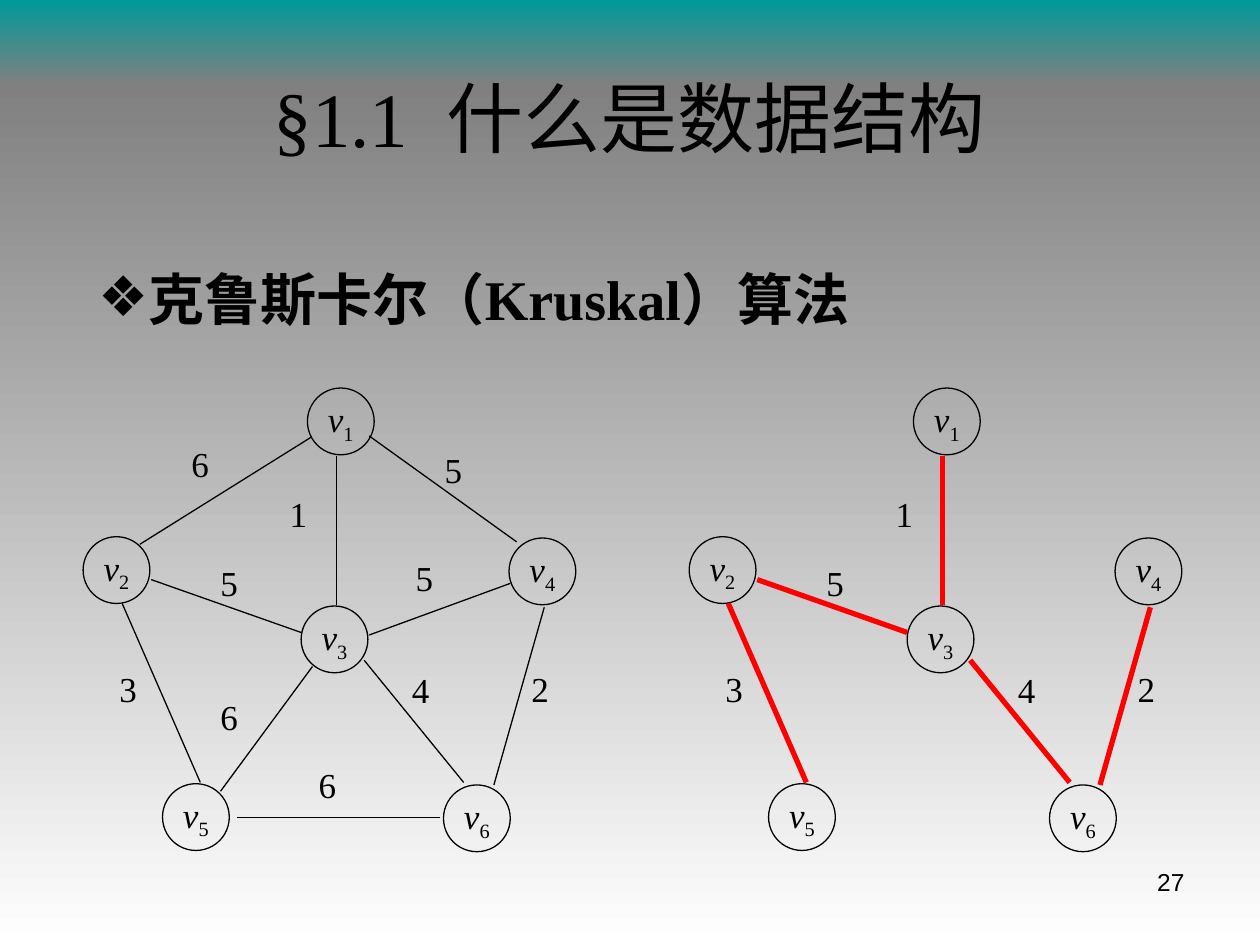
from lxml import etree
from pptx import Presentation
from pptx import util as u
from pptx.dml.color import RGBColor
from pptx.enum import shapes, text
from pptx.oxml import ns

BLACK = RGBColor(0x00, 0x00, 0x00)
RED = RGBColor(0xFF, 0x00, 0x00)
TEAL = RGBColor(0x00, 0x99, 0x99)
GRAY = RGBColor(0x80, 0x80, 0x80)
WHITE = RGBColor(0xFF, 0xFF, 0xFF)

SERIF = "Times New Roman"
DIAMETER = 0.53
TREE_OFFSET = 4.81

VERTICES = {
    "1": (2.44, 3.08), "3": (2.39, 4.81), "2": (0.66, 4.26),
    "4": (4.04, 4.27), "5": (1.29, 6.22), "6": (3.52, 6.23),
}
TREE_EDGES = [
    ((4.32, 4.82), (3.92, 6.23), "2", (4.12, 5.25)),
    ((0.97, 4.79), (1.59, 6.21), "3", (0.85, 5.25)),
    ((2.67, 3.62), (2.67, 4.8), "1", (2.2, 3.86)),
    ((1.2, 4.6), (2.39, 5.02), "5", (1.65, 4.41)),
    ((2.89, 5.24), (3.68, 6.21), "4", (3.17, 5.26)),
]
OTHER_EDGES = [
    ((2.93, 3.46), (4.1, 4.3), "5", (3.43, 3.51)),
    ((2.47, 3.47), (1.11, 4.32), "6", (1.42, 3.46)),
    ((3.49, 6.49), (1.88, 6.49), "6", (2.43, 6.01)),
    ((2.48, 5.29), (1.75, 6.28), "6", (1.65, 5.47)),
    ((2.93, 5.04), (4.05, 4.63), "5", (3.2, 4.37)),
]


def write(frame, content, size=20, font=SERIF, bold=False, italic=False,
          subscript="", align=text.PP_ALIGN.LEFT,
          anchor=text.MSO_ANCHOR.TOP, wrap=True):
    frame.word_wrap = wrap
    frame.auto_size = text.MSO_AUTO_SIZE.NONE
    frame.vertical_anchor = anchor
    paragraph = frame.paragraphs[0]
    paragraph.alignment = align
    for part in filter(None, (content, subscript)):
        run = paragraph.add_run()
        run.text = part
        run.font.size = u.Pt(size)
        run.font.name = font
        run.font.bold = bold
        run.font.italic = italic
        run.font.color.rgb = BLACK
    if subscript:
        run.font.italic = False
        run.font._element.set("baseline", "-25000")
    return paragraph


def place(shape, left, top, width, height):
    shape.left, shape.top = u.Inches(left), u.Inches(top)
    shape.width, shape.height = u.Inches(width), u.Inches(height)


def add_backdrop(slide, top, height, upper, lower):
    band = slide.shapes.add_shape(
        shapes.MSO_SHAPE.RECTANGLE, 0, u.Inches(top),
        u.Inches(10), u.Inches(height))
    band.shadow.inherit = False
    band.line.fill.background()
    band.fill.gradient()
    band.fill.gradient_angle = 270
    for stop, color, position in zip(band.fill.gradient_stops,
                                     (upper, lower), (0, 1)):
        stop.color.rgb = color
        stop.position = position
    slide.shapes._spTree.insert(2, band._element)


def add_label(slide, content, left, top, width, height, **style):
    label = slide.shapes.add_textbox(*map(u.Inches, (left, top, width, height)))
    write(label.text_frame, content, **style)


def add_vertex(slide, number, left, top):
    vertex = slide.shapes.add_shape(
        shapes.MSO_SHAPE.OVAL,
        *map(u.Inches, (left, top, DIAMETER, DIAMETER)))
    vertex.shadow.inherit = False
    vertex.fill.background()
    vertex.line.color.rgb = BLACK
    vertex.line.width = u.Pt(0.75)
    write(vertex.text_frame, "v", italic=True, subscript=number,
          align=text.PP_ALIGN.CENTER, anchor=text.MSO_ANCHOR.MIDDLE, wrap=False)


def add_edge(slide, start, end, color, width):
    edge = slide.shapes.add_connector(
        shapes.MSO_CONNECTOR.STRAIGHT, *map(u.Inches, (*start, *end)))
    edge.line.color.rgb = color
    edge.line.width = u.Pt(width)
    etree.SubElement(edge._element.spPr, ns.qn("a:effectLst"))


def add_graph(slide, edges, offset=0, color=BLACK, width=0.75):
    for number, (left, top) in VERTICES.items():
        add_vertex(slide, number, left + offset, top)
    for (x1, y1), (x2, y2), weight, (left, top) in edges:
        add_edge(slide, (x1 + offset, y1), (x2 + offset, y2), color, width)
        add_label(slide, weight, left + offset, top, 0.66, 0.44)


def add_bullet(paragraph, symbol, indent):
    properties = paragraph._p.get_or_add_pPr()
    properties.set("marL", str(u.Inches(indent)))
    properties.set("indent", str(-u.Inches(indent)))
    color = etree.SubElement(properties, ns.qn("a:buClr"))
    etree.SubElement(color, ns.qn("a:srgbClr"), val=str(BLACK))
    etree.SubElement(properties, ns.qn("a:buChar"), char=symbol)
    paragraph.line_spacing = 0.8
    paragraph.space_before = u.Pt(0)


def main():
    deck = Presentation()
    deck.slide_width, deck.slide_height = u.Inches(10), u.Inches(7.5)
    slide = deck.slides.add_slide(deck.slide_layouts[1])
    add_backdrop(slide, 0, 0.67, TEAL, GRAY)
    add_backdrop(slide, 0.67, 6.83, GRAY, WHITE)

    title, body = slide.placeholders
    place(title, 0.5, 0.3, 9, 1.25)
    write(title.text_frame, "§1.1  什么是数据结构", size=44,
          align=text.PP_ALIGN.CENTER, anchor=text.MSO_ANCHOR.MIDDLE)
    place(body, 0.68, 2.15, 9.22, 4.61)
    topic = write(body.text_frame, "克鲁斯卡尔（Kruskal）算法", size=32, bold=True)
    add_bullet(topic, "❖", 0.38)

    add_graph(slide, TREE_EDGES + OTHER_EDGES)
    add_graph(slide, TREE_EDGES, offset=TREE_OFFSET, color=RED, width=3)
    add_label(slide, "27", 7.17, 6.83, 2.33, 0.52, size=14, font="Arial",
              align=text.PP_ALIGN.RIGHT)
    deck.save("out.pptx")


if __name__ == "__main__":
    main()
